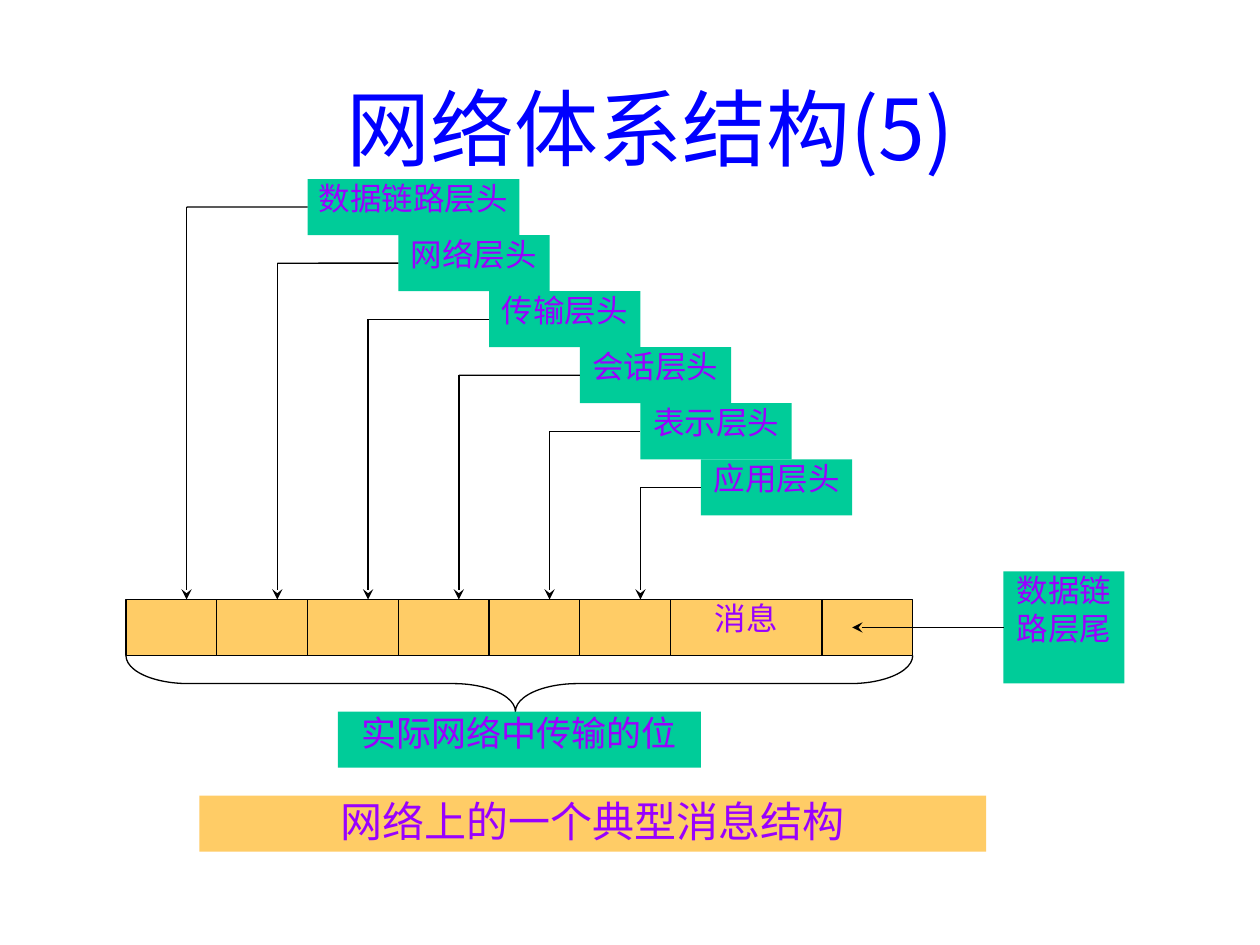
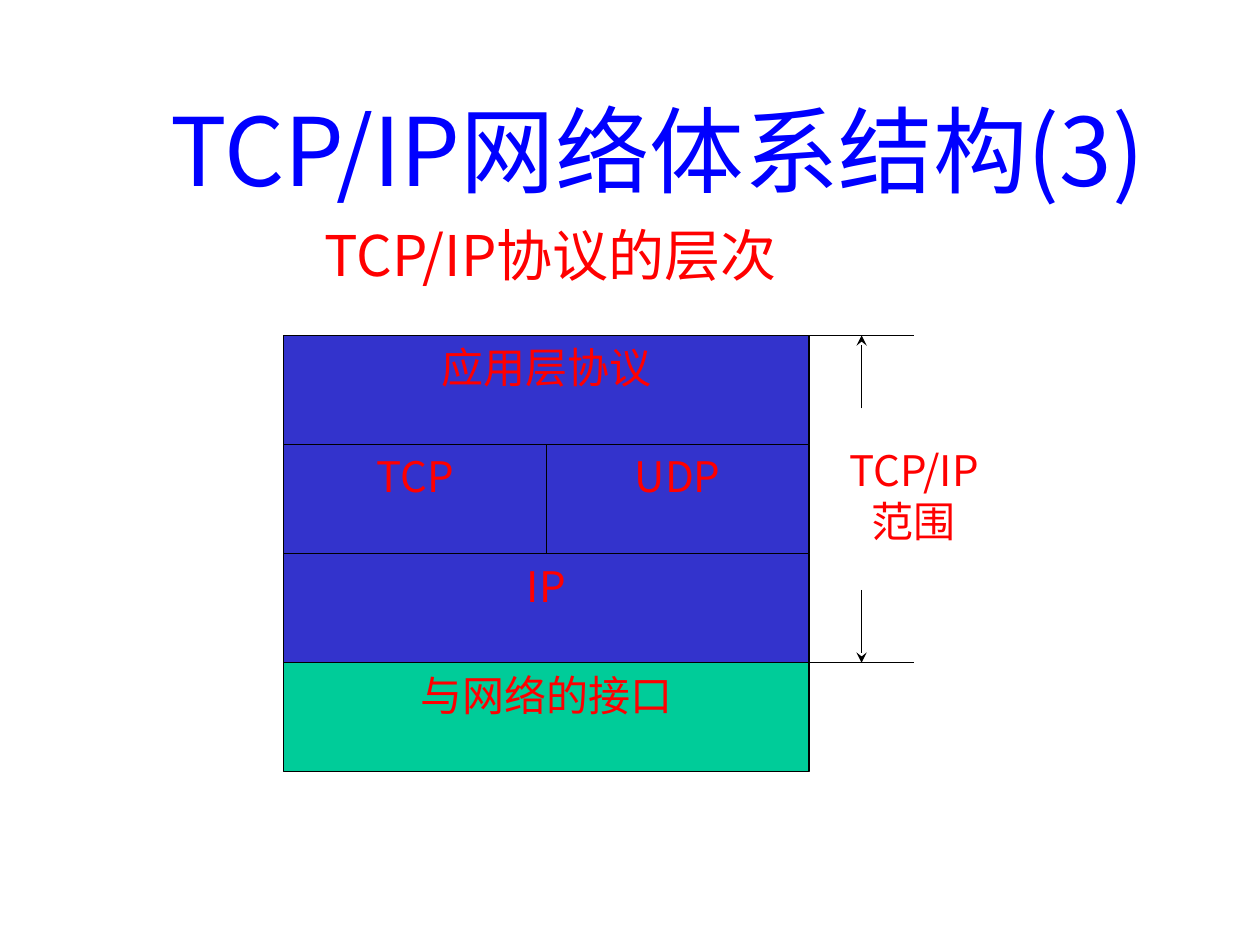
from lxml.etree import SubElement
from pptx import Presentation
from pptx.dml.color import RGBColor
from pptx.enum.shapes import MSO_CONNECTOR, MSO_SHAPE
from pptx.enum.text import MSO_ANCHOR, PP_ALIGN
from pptx.oxml.ns import qn
from pptx.util import Cm, Pt

BLACK = RGBColor(0x00, 0x00, 0x00)
BLUE = RGBColor(0x00, 0x00, 0xFF)
RED = RGBColor(0xFF, 0x00, 0x00)
PURPLE = RGBColor(0x99, 0x00, 0xFF)
GREEN = RGBColor(0x00, 0xCC, 0x99)
AMBER = RGBColor(0xFF, 0xCC, 0x66)
NAVY = RGBColor(0x33, 0x33, 0xCC)

SANS = "Noto Sans CJK JP"
SERIF = "Times New Roman"
THIN = Pt(0.75)
COL, ROW = 0.305, 1.13
LEFT = PP_ALIGN.LEFT
TIGHT = (0, 0)
LOOSE = (0.25, 0.13)

HEADS = [
    ("数据链路层头", 12, 14),
    ("网络层头", 18, 10),
    ("传输层头", 24, 10),
    ("会话层头", 30, 10),
    ("表示层头", 34, 10),
    ("应用层头", 38, 10),
]
FIELDS = [""] * 6 + ["消息", ""]
LAYERS = [
    (["应用层协议"], NAVY),
    (["TCP", "UDP"], NAVY),
    (["IP"], NAVY),
    (["与网络的接口"], GREEN),
]


def apply(target, values):
    for name, value in values.items():
        setattr(target, name, value)


def write(shape, text, size, color, face=SANS, align=PP_ALIGN.CENTER, pad=TIGHT, wrap=True):
    frame = shape.text_frame
    side, edge = map(Cm, pad)
    apply(frame, {
        "margin_left": side, "margin_right": side,
        "margin_top": edge, "margin_bottom": edge,
        "vertical_anchor": MSO_ANCHOR.TOP, "word_wrap": wrap, "text": text,
    })
    for para in frame.paragraphs:
        para.alignment = align
        for run in para.runs:
            apply(run.font, {"size": Pt(size), "name": face})
            run.font.color.rgb = color
            SubElement(run.font._element, qn("a:ea")).set("typeface", SANS)


def add_label(slide, box, text, size, color, **style):
    shape = slide.shapes.add_textbox(*map(Cm, box))
    write(shape, text, size, color, **style)


def add_block(slide, box, fill, edge=False, kind=MSO_SHAPE.RECTANGLE):
    shape = slide.shapes.add_shape(kind, *map(Cm, box))
    shape.shadow.inherit = False
    if fill is None:
        shape.fill.background()
    else:
        shape.fill.solid()
        shape.fill.fore_color.rgb = fill
    if edge:
        shape.line.color.rgb = BLACK
        shape.line.width = THIN
    else:
        shape.line.fill.background()
    return shape


def add_line(slide, x1, y1, x2, y2, arrow=False):
    line = slide.shapes.add_connector(MSO_CONNECTOR.STRAIGHT, *map(Cm, (x1, y1, x2, y2)))
    line.line.color.rgb = BLACK
    line.line.width = THIN
    if arrow:
        SubElement(line.line._get_or_add_ln(), qn("a:tailEnd")).set("type", "stealth")
    SubElement(line._element.spPr, qn("a:effectLst"))
    return line


def add_title(slide, box, text, size, wrap):
    add_label(slide, box, text, size, BLUE, align=LEFT, pad=LOOSE, wrap=wrap)


def draw_heads(slide, left, top):
    base = top + 7.5 * ROW
    for row, (text, col, span) in enumerate(HEADS):
        x, y = left + col * COL, top + row * ROW
        block = add_block(slide, (x, y, span * COL, ROW), GREEN)
        write(block, text, 18, PURPLE, SERIF)
        drop, mid = left + (4 + 6 * row) * COL, y + ROW / 2
        add_line(slide, drop, mid, x, mid).end_connect(block, 1)
        add_line(slide, drop, mid, drop, base, True)


def draw_fields(slide, left, top):
    x = left
    for text in FIELDS:
        width = (10 if text else 6) * COL
        block = add_block(slide, (x, top, width, ROW), AMBER, True)
        write(block, text, 18, PURPLE, SERIF)
        x += width
    tail = add_block(slide, (left + 58 * COL, top - ROW / 2, 8 * COL, 2 * ROW), GREEN)
    write(tail, "数据链路层尾", 18, PURPLE, SERIF)
    mid = top + ROW / 2
    line = add_line(slide, left + 58 * COL, mid, left + 48 * COL, mid, True)
    line.begin_connect(tail, 1)


def draw_brace(slide, left, top):
    span = 52 * COL
    box = (left + (span - ROW) / 2, top + (ROW - span) / 2, ROW, span)
    brace = add_block(slide, box, None, True, MSO_SHAPE.LEFT_BRACE)
    brace.rotation = 270
    brace.adjustments[0] = 1.11
    brace.adjustments[1] = 0.495
    note = add_block(slide, (left + 14 * COL, top + ROW, 24 * COL, ROW), GREEN)
    write(note, "实际网络中传输的位", 20, PURPLE, SERIF)


def draw_stack(slide, left, top, width, height):
    for row, (names, fill) in enumerate(LAYERS):
        part = width / len(names)
        for col, name in enumerate(names):
            box = (left + col * part, top + row * height, part, height)
            write(add_block(slide, box, fill, True), name, 24, RED, pad=LOOSE)


def draw_range(slide, left, top, width, height):
    gap, reach = 1.06, 1.47
    for y, way in ((top, 1), (top + height, -1)):
        add_line(slide, left, y, left + 2 * gap, y)
        add_line(slide, left + gap, y + way * reach, left + gap, y, True)
    add_label(slide, (left, top + 2.21, width, 2.92), "TCP/IP\n范围", 24, RED)


def message_slide(slide):
    left, top = 2.54, 3.61
    draw_heads(slide, left, top)
    draw_fields(slide, left, top + 7.5 * ROW)
    draw_brace(slide, left, top + 8.5 * ROW)
    foot = add_block(slide, (4.02, top + 11 * ROW, 52 * COL, ROW), AMBER)
    write(foot, "网络上的一个典型消息结构", 24, PURPLE, SERIF)
    add_title(slide, (6.73, 1.42, 13.16, 2.29), "网络体系结构(5)", 48, False)


def layer_slide(slide):
    left, top, width, height = 5.72, 6.76, 10.59, 2.2
    draw_stack(slide, left, top, width, height)
    draw_range(slide, left + width, top, 4.23, 3 * height)
    add_label(slide, (5.49, 4.45, 11.23, 1.68), "TCP/IP协议的层次", 32, RED)
    add_title(slide, (3.18, 1.73, 20.73, 7.11), "TCP/IP网络体系结构(3)", 54, True)


def main():
    deck = Presentation()
    apply(deck, {"slide_width": Cm(25.4), "slide_height": Cm(19.05)})
    for draw in (message_slide, layer_slide):
        draw(deck.slides.add_slide(deck.slide_layouts[6]))
    deck.save("out.pptx")


if __name__ == "__main__":
    main()
